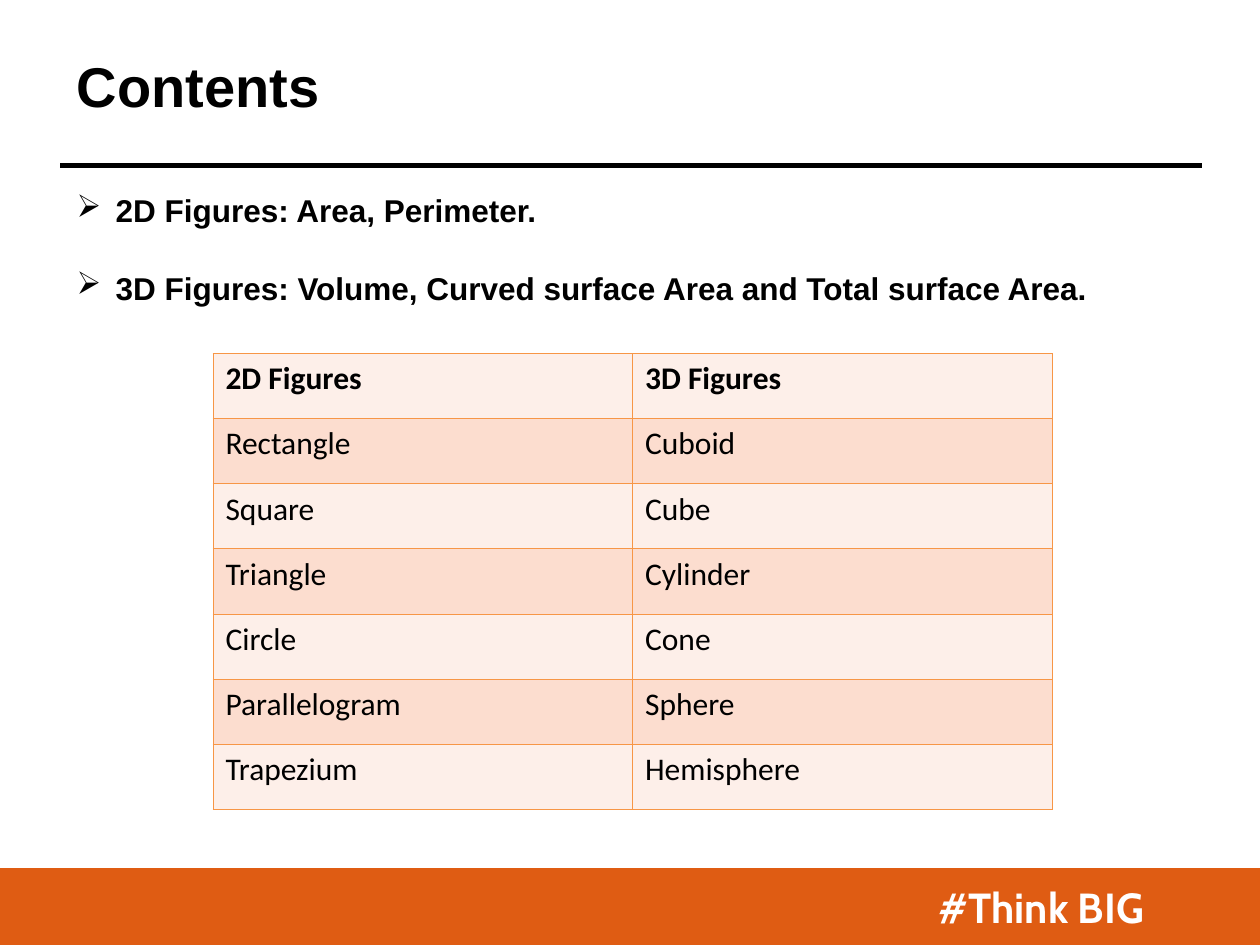
from lxml.etree import SubElement
from pptx import Presentation
from pptx.dml.color import RGBColor
from pptx.enum.shapes import MSO_CONNECTOR, MSO_SHAPE
from pptx.enum.text import MSO_ANCHOR, PP_ALIGN
from pptx.oxml.ns import qn
from pptx.util import Inches, Pt

WIDTH, HEIGHT = Inches(10), Inches(7.5)
COLORS = {
    "text": "000000",
    "footer": "DF5C13",
    "footer_text": "FFFFFF",
    "light_row": "FDEFE9",
    "dark_row": "FCDDCF",
    "border": "F79646",
}
TOPICS = [
    "2D Figures: Area, Perimeter.",
    "3D Figures: Volume, Curved surface Area and Total surface Area.",
]
FIGURES = [
    ("2D Figures", "3D Figures"),
    ("Rectangle", "Cuboid"),
    ("Square", "Cube"),
    ("Triangle", "Cylinder"),
    ("Circle", "Cone"),
    ("Parallelogram", "Sphere"),
    ("Trapezium", "Hemisphere"),
]
ROW_HEIGHT = Inches(3.62 / len(FIGURES))
COLUMN_WIDTH = Inches(3.33)


def color(name):
    return RGBColor.from_string(COLORS[name])


def share(left, top, width, height):
    return [int(WIDTH * left), int(HEIGHT * top), int(WIDTH * width), int(HEIGHT * height)]


def format_runs(paragraph, size, font_name="Arial", bold=True, color_name="text"):
    for run in paragraph.runs:
        run.font.name = font_name
        run.font.size = Pt(size)
        run.font.bold = bold
        run.font.color.rgb = color(color_name)


def add_title(slide, text):
    title = slide.shapes.title
    title.left, title.top, title.width, title.height = share(0.051, 0.048, 0.803, 0.085)
    text_frame = title.text_frame
    text_frame.text = text
    text_frame.vertical_anchor = MSO_ANCHOR.TOP
    paragraph = text_frame.paragraphs[0]
    paragraph.alignment = PP_ALIGN.LEFT
    format_runs(paragraph, 32)


def add_rule(slide):
    left, top, width, _ = share(0.048, 0.175, 0.906, 0)
    connector = slide.shapes.add_connector(MSO_CONNECTOR.STRAIGHT, left, top, left + width, top)
    connector.line.color.rgb = color("text")
    connector.line.width = Pt(3)
    SubElement(connector._element.spPr, qn("a:effectLst"))


def add_footer(slide, text):
    shape = slide.shapes.add_shape(MSO_SHAPE.RECTANGLE, *share(0, 0.92, 1, 0.08))
    shape.shadow.inherit = False
    shape.fill.solid()
    shape.fill.fore_color.rgb = color("footer")
    shape.line.color.rgb = color("footer")
    shape.line.width = Pt(2)
    text_frame = shape.text_frame
    text_frame.text = text
    text_frame.vertical_anchor = MSO_ANCHOR.MIDDLE
    text_frame.margin_right = int(WIDTH * 0.092)
    paragraph = text_frame.paragraphs[0]
    paragraph.alignment = PP_ALIGN.RIGHT
    format_runs(paragraph, 24, "Cabin", color_name="footer_text")


def add_bullets(slide, texts):
    text_frame = slide.shapes.add_textbox(*share(0.051, 0.196, 0.929, 0.133)).text_frame
    text_frame.word_wrap = True
    for index, text in enumerate(texts):
        paragraph = text_frame.add_paragraph() if index else text_frame.paragraphs[0]
        paragraph.text = text
        properties = paragraph._p.get_or_add_pPr()
        properties.set("marL", str(Inches(0.31)))
        properties.set("indent", str(-Inches(0.31)))
        SubElement(properties, qn("a:buChar"), char="➢")
        if index:
            paragraph.space_before = Pt(22.5)
        format_runs(paragraph, 18)


def set_borders(cell):
    properties = cell._tc.get_or_add_tcPr()
    for position, side in enumerate(("lnL", "lnR", "lnT", "lnB")):
        line = SubElement(properties, qn(f"a:{side}"), w=str(Pt(0.45)))
        fill = SubElement(line, qn("a:solidFill"))
        SubElement(fill, qn("a:srgbClr"), val=COLORS["border"])
        properties.insert(position, line)


def add_figure_table(slide, rows):
    left, top, _, _ = share(0.169, 0.374, 0, 0)
    columns = len(rows[0])
    table = slide.shapes.add_table(
        len(rows), columns, left, top, COLUMN_WIDTH * columns, ROW_HEIGHT * len(rows)
    ).table
    for row_index, texts in enumerate(rows):
        table.rows[row_index].height = ROW_HEIGHT
        for column_index, text in enumerate(texts):
            cell = table.cell(row_index, column_index)
            cell.text = text
            cell.fill.solid()
            cell.fill.fore_color.rgb = color("dark_row" if row_index % 2 else "light_row")
            set_borders(cell)
            format_runs(cell.text_frame.paragraphs[0], 18, "Calibri", bold=row_index == 0)


def main():
    presentation = Presentation()
    presentation.slide_width, presentation.slide_height = WIDTH, HEIGHT
    slide = presentation.slides.add_slide(presentation.slide_layouts[5])
    add_rule(slide)
    add_footer(slide, "#Think BIG")
    add_bullets(slide, TOPICS)
    add_title(slide, "Contents")
    add_figure_table(slide, FIGURES)
    presentation.save("out.pptx")


if __name__ == "__main__":
    main()
